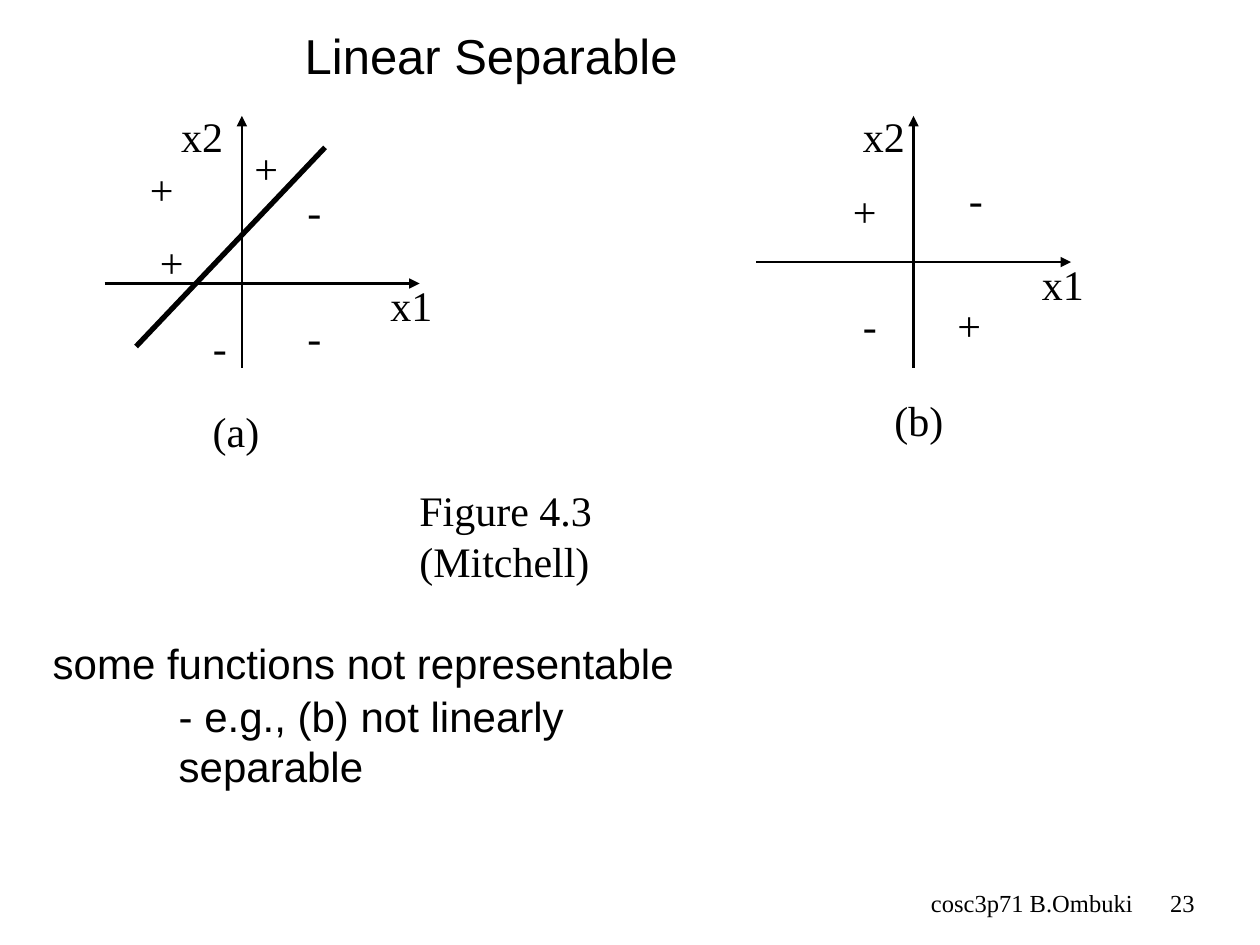
from typing import NamedTuple

from lxml.etree import SubElement
from pptx import Presentation
from pptx.dml.color import RGBColor
from pptx.enum.shapes import MSO_CONNECTOR
from pptx.enum.text import MSO_AUTO_SIZE, PP_ALIGN
from pptx.oxml.ns import qn
from pptx.slide import Slide
from pptx.util import Inches, Pt

BLACK = RGBColor(0, 0, 0)
SANS = "Arial"
SERIF = "Times New Roman"
WIDTHS = {"+": 0.39, "-": 0.31, "x1": 0.53, "x2": 0.53, "(a)": 0.57, "(b)": 0.59}


class Line(NamedTuple):
    x1: float
    y1: float
    x2: float
    y2: float
    width: float = 1.5
    arrow: bool = True


class Mark(NamedTuple):
    text: str
    x: float
    y: float


class Row(NamedTuple):
    text: str
    indent: float = 0
    before: float = 0


class Box(NamedTuple):
    rows: list[Row]
    x: float
    y: float
    w: float
    h: float = 0.5
    size: int = 24
    font: str = SERIF
    wrap: bool = False
    align: PP_ALIGN = PP_ALIGN.LEFT


class Plot(NamedTuple):
    lines: list[Line]
    marks: list[Mark]


PLOTS = [
    Plot(
        [
            Line(1.92, 2.92, 1.92, 0.92),
            Line(0.83, 2.25, 3.33, 2.25),
            Line(2.58, 1.17, 1.08, 2.75, 3, False),
        ],
        [
            Mark("+", 1.92, 1.08),
            Mark("+", 1.09, 1.25),
            Mark("+", 1.17, 1.83),
            Mark("-", 1.59, 2.5),
            Mark("-", 2.34, 1.42),
            Mark("-", 2.34, 2.42),
            Mark("x1", 3, 2.17),
            Mark("x2", 1.34, 0.83),
            Mark("(a)", 1.59, 3.17),
        ],
    ),
    Plot(
        [Line(7.25, 2.92, 7.25, 0.92), Line(6, 2.08, 8.5, 2.08)],
        [
            Mark("+", 6.67, 1.42),
            Mark("-", 6.75, 2.33),
            Mark("+", 7.5, 2.33),
            Mark("-", 7.59, 1.33),
            Mark("x1", 8.17, 2),
            Mark("x2", 6.75, 0.83),
            Mark("(b)", 7, 3.08),
        ],
    ),
]

TITLE = Box([Row("Linear Separable")], 2.32, 0.15, 3.16, 0.57, 28, SANS)
NOTES = [
    Box(
        [
            Row("some functions not representable"),
            Row("- e.g., (b) not linearly separable", 1, 1.5),
        ],
        0.32, 5.01, 5.81, 0.9, font=SANS,
    ),
    Box([Row("Figure 4.3 (Mitchell)")], 3.23, 3.8, 3),
    Box([Row("cosc3p71 B.Ombuki")], 5.92, 7, 3.17,
        size=14, wrap=True, align=PP_ALIGN.RIGHT),
    Box([Row("23")], 9.08, 7, 0.5,
        size=14, wrap=True, align=PP_ALIGN.RIGHT),
]


def draw_line(slide: Slide, line: Line) -> None:
    shape = slide.shapes.add_connector(
        MSO_CONNECTOR.STRAIGHT,
        Inches(line.x1), Inches(line.y1), Inches(line.x2), Inches(line.y2),
    )
    shape.line.color.rgb = BLACK
    shape.line.width = Pt(line.width)
    if line.arrow:
        SubElement(shape.line._get_or_add_ln(), qn("a:tailEnd"), type="triangle")
    SubElement(shape._element.spPr, qn("a:effectLst"))


def draw_box(slide: Slide, box: Box) -> None:
    shape = slide.shapes.add_textbox(
        Inches(box.x), Inches(box.y), Inches(box.w), Inches(box.h)
    )
    frame = shape.text_frame
    frame.word_wrap = box.wrap
    if not box.wrap:
        frame.auto_size = MSO_AUTO_SIZE.SHAPE_TO_FIT_TEXT
    for i, row in enumerate(box.rows):
        para = frame.add_paragraph() if i else frame.paragraphs[0]
        para.alignment = box.align
        if row.indent:
            para._p.get_or_add_pPr().set("marL", str(Inches(row.indent)))
        if row.before:
            para.space_before = Pt(row.before)
        run = para.add_run()
        run.text = row.text
        run.font.name = box.font
        run.font.size = Pt(box.size)
        run.font.color.rgb = BLACK


def draw_plot(slide: Slide, plot: Plot) -> None:
    for line in plot.lines:
        draw_line(slide, line)
    for mark in plot.marks:
        draw_box(slide, Box([Row(mark.text)], mark.x, mark.y, WIDTHS[mark.text]))


def main() -> None:
    deck = Presentation()
    deck.slide_width = Inches(10)
    deck.slide_height = Inches(7.5)
    slide = deck.slides.add_slide(deck.slide_layouts[6])
    draw_box(slide, TITLE)
    for plot in PLOTS:
        draw_plot(slide, plot)
    for note in NOTES:
        draw_box(slide, note)
    deck.save("out.pptx")


if __name__ == "__main__":
    main()
